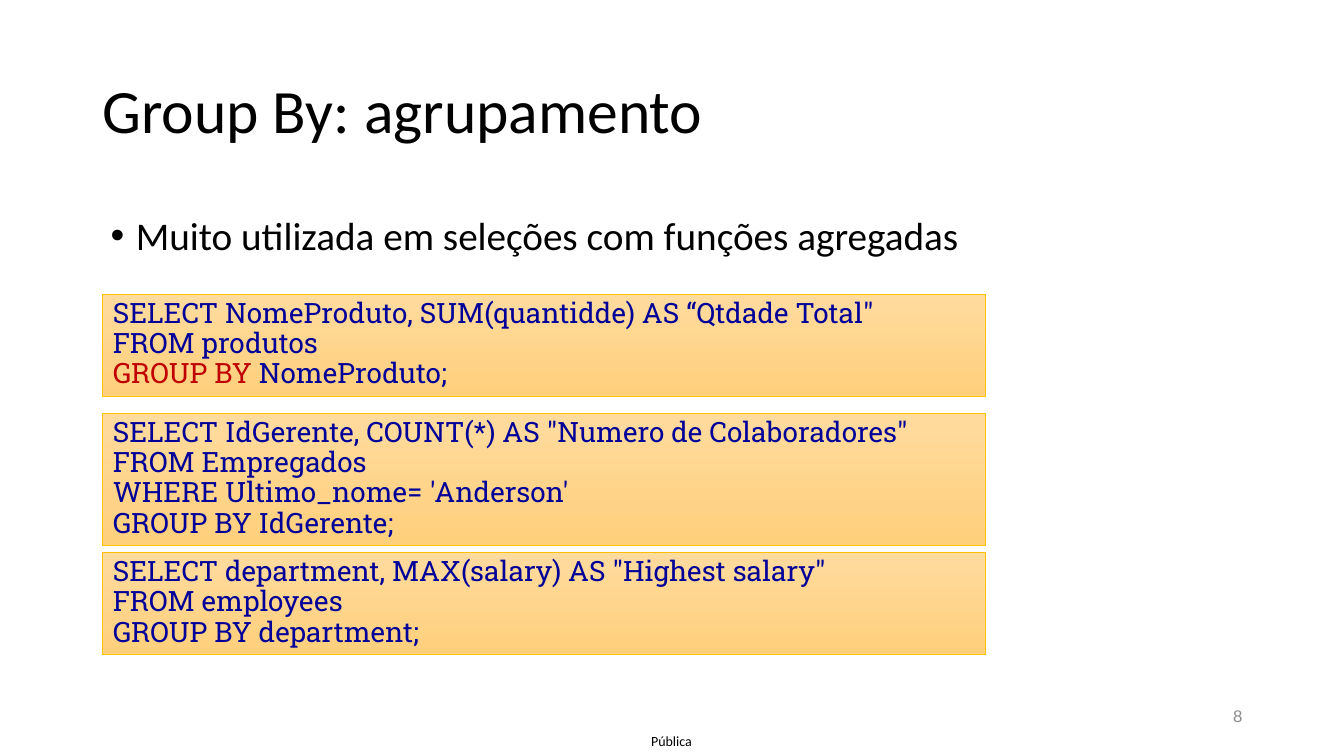
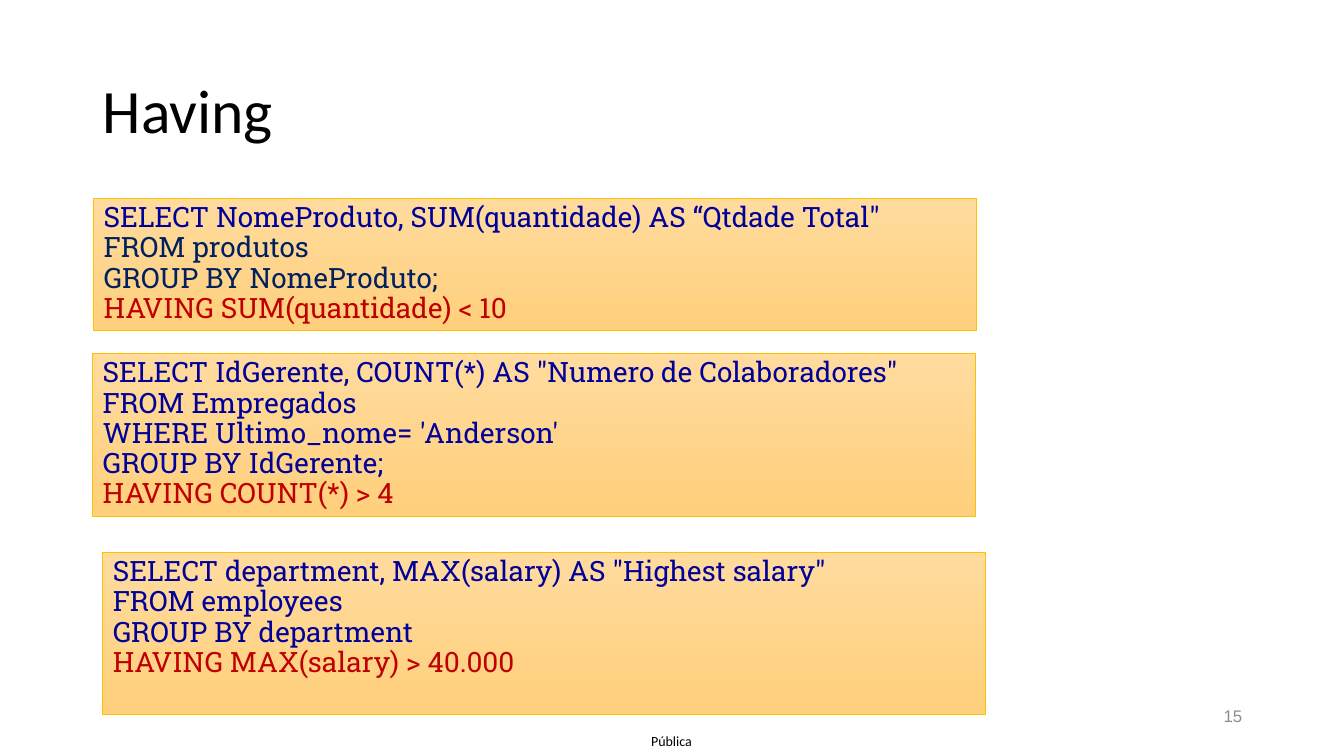
from lxml.etree import SubElement
from pptx import Presentation
from pptx.dml.color import RGBColor
from pptx.enum.shapes import MSO_SHAPE as Shape
from pptx.enum.text import MSO_ANCHOR as Anchor, PP_ALIGN as Align
from pptx.oxml.ns import qn
from pptx.util import Inches, Pt

BLACK, GREY = "000000", "8C8C8C"
BLUE, NAVY, RED = "000099", "002060", "C00000"
PANEL_TOP, PANEL_BOTTOM, PANEL_EDGE = "FFDB9E", "FFD07C", "FFC000"
PANEL_LEFT, PANEL_WIDTH, ROW, PADDING = 1.02, 8.75, 0.3, 0.11


def rgb(value):
    """Turn a hex string into a colour."""
    return RGBColor.from_string(value)


class Deck:
    """Holds the shared style and the slide being built."""

    def __init__(self):
        """Start an empty widescreen presentation."""
        self.deck = Presentation()
        self.deck.slide_width, self.deck.slide_height = Inches(13.33), Inches(7.5)
        self.slide = None

    def start(self, heading, number):
        """Add a slide with its footer, title and page number."""
        self.slide = self.deck.slides.add_slide(self.deck.slide_layouts[6])
        footer = self.box(6.31, 7.21, 0.7, 0.29, Anchor.MIDDLE, 0)
        self.add_runs(footer.paragraphs[0], [("Pública", BLACK)], 10, align=Align.CENTER)
        title = self.box(0.92, 0.4, 11.5, 1.45, Anchor.MIDDLE)
        self.add_runs(title.paragraphs[0], [(heading, BLACK)], 44, spacing=0.9)
        page = self.box(9.42, 6.95, 3, 0.4)
        self.add_runs(page.paragraphs[0], [(number, GREY)], 12, "Arial", Align.RIGHT)

    def box(self, left, top, width, height, anchor=Anchor.TOP, inset=None):
        """Add a wrapping text box and return its text frame."""
        frame = self.slide.shapes.add_textbox(
            Inches(left), Inches(top), Inches(width), Inches(height)).text_frame
        frame.word_wrap = True
        frame.vertical_anchor = anchor
        if inset is not None:
            frame.margin_left = frame.margin_right = Inches(inset)
            frame.margin_top = frame.margin_bottom = Inches(inset)
        return frame

    def add_runs(self, paragraph, runs, size, font="Calibri", align=Align.LEFT, spacing=1.0):
        """Fill a paragraph with coloured runs."""
        paragraph.alignment = align
        paragraph.line_spacing = spacing
        for text, color in runs:
            run = paragraph.add_run()
            run.text = text
            run.font.size = Pt(size)
            run.font.name = font
            run.font.color.rgb = rgb(color)

    def bullet(self, text):
        """Add the bulleted statement under the title."""
        statement = self.box(1, 2.1, 11.33, 0.79).paragraphs[0]
        self.add_runs(statement, [(text, BLACK)], 28, spacing=0.9)
        statement.space_before = Pt(10)
        properties = statement._p.get_or_add_pPr()
        properties.set("marL", str(Inches(0.25)))
        properties.set("indent", str(Inches(-0.25)))
        SubElement(properties, qn("a:buFont"), typeface="Arial")
        SubElement(properties, qn("a:buChar"), char="•")

    def query(self, top, lines, left=PANEL_LEFT, rows=None):
        """Add a gradient panel with one SQL clause on each line."""
        height = PADDING + ROW * (rows or len(lines))
        panel = self.slide.shapes.add_shape(
            Shape.RECTANGLE, Inches(left), Inches(top), Inches(PANEL_WIDTH), Inches(height))
        panel.shadow.inherit = False
        panel.fill.gradient()
        panel.fill.gradient_angle = 270
        for stop, color in zip(panel.fill.gradient_stops, (PANEL_TOP, PANEL_BOTTOM)):
            stop.color.rgb = rgb(color)
        panel.line.color.rgb = rgb(PANEL_EDGE)
        panel.line.width = Pt(0.5)
        frame = panel.text_frame
        frame.word_wrap = True
        frame.vertical_anchor = Anchor.TOP
        for index, runs in enumerate(lines):
            clause = frame.add_paragraph() if index else frame.paragraphs[0]
            self.add_runs(clause, runs, 20, "Roboto Slab", spacing=0.9)

    def save(self):
        """Save the presentation."""
        self.deck.save("out.pptx")


def clauses(*texts, color=BLUE):
    """Make one single-colour line from each text."""
    return [[(text, color)] for text in texts]


def main():
    """Build both slides."""
    by_manager = clauses(
        'SELECT IdGerente, COUNT(*) AS "Numero de Colaboradores"',
        "FROM Empregados", "WHERE Ultimo_nome= 'Anderson'", "GROUP BY IdGerente;")
    by_department = clauses(
        'SELECT department, MAX(salary) AS "Highest salary"', "FROM employees")

    deck = Deck()
    deck.start("Group By: agrupamento", "8")
    deck.bullet("Muito utilizada em seleções com funções agregadas")
    deck.query(2.92, clauses(
        'SELECT NomeProduto, SUM(quantidde) AS “Qtdade Total"', "FROM produtos")
        + [[("GROUP BY ", RED), ("NomeProduto;", BLUE)]])
    deck.query(4.1, by_manager)
    deck.query(5.48, by_department + clauses("GROUP BY department;"))

    deck.start("Having", "15")
    deck.query(1.97, clauses('SELECT NomeProduto, SUM(quantidade) AS “Qtdade Total"')
               + clauses("FROM produtos", "GROUP BY NomeProduto;", color=NAVY)
               + clauses("HAVING SUM(quantidade) < 10", color=RED), left=0.93)
    deck.query(3.51, by_manager + clauses("HAVING COUNT(*) > 4", color=RED), left=0.92)
    deck.query(5.48, by_department + clauses("GROUP BY department")
               + clauses("HAVING MAX(salary) > 40.000", color=RED), rows=5)
    deck.save()


if __name__ == "__main__":
    main()
